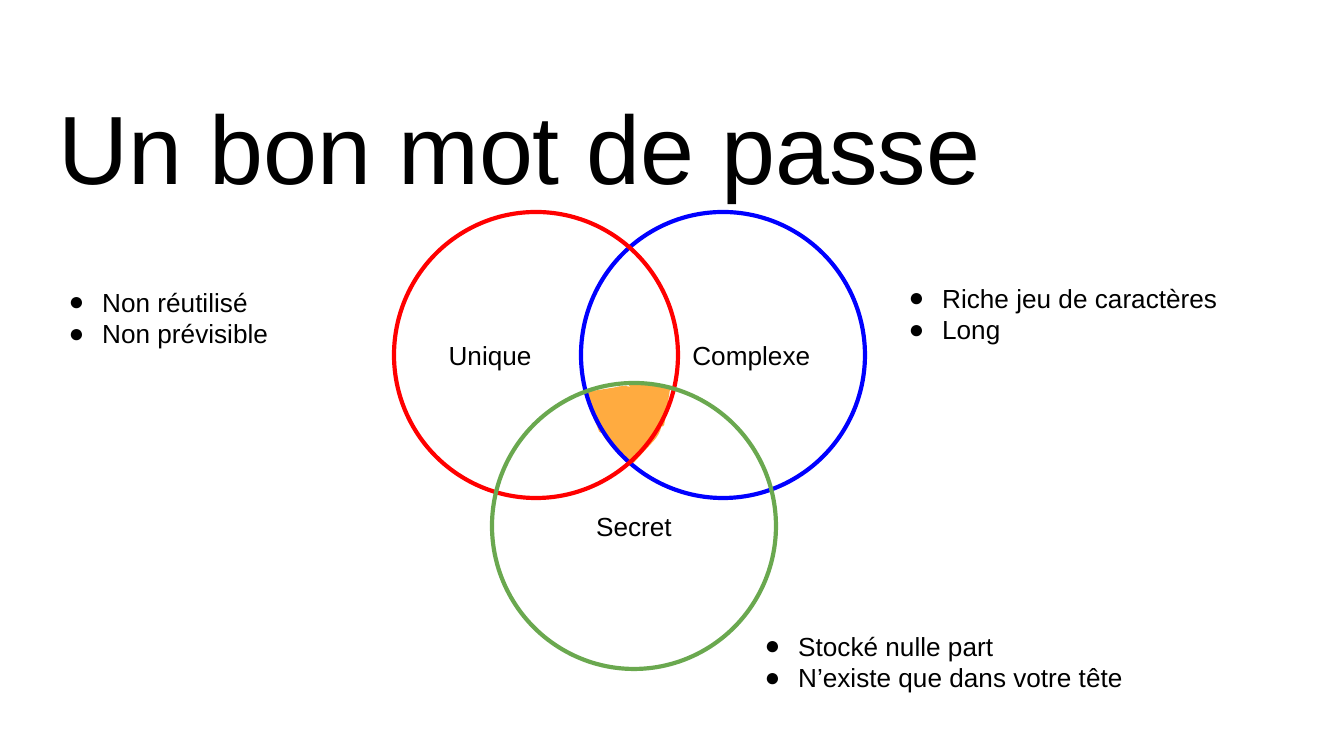
from lxml import etree
from pptx import Presentation
from pptx.dml.color import RGBColor
from pptx.enum.shapes import MSO_SHAPE
from pptx.enum.text import MSO_ANCHOR, PP_ALIGN
from pptx.oxml.ns import qn
from pptx.util import Pt

EMU_PER_PX = 914400 / 134.4
TEARDROP, TRIANGLE = MSO_SHAPE.TEAR, MSO_SHAPE.ISOSCELES_TRIANGLE
DISC, OVAL = MSO_SHAPE.FLOWCHART_CONNECTOR, MSO_SHAPE.OVAL
LEFT, CENTER, RIGHT = PP_ALIGN.LEFT, PP_ALIGN.CENTER, PP_ALIGN.RIGHT
TOP, MIDDLE = MSO_ANCHOR.TOP, MSO_ANCHOR.MIDDLE

ORANGE, BLUE, RED, GREEN, BLACK = "FFAB40", "0000FF", "FF0000", "6AA84F", "000000"
MARGIN = 13
CIRCLE_WIDTH, CIRCLE_HEIGHT = 284, 286

# preset, left, top, width, height, rotation
CORE_BACK = [
    (TEARDROP, 601, 391, 60, 58, 132.5),
    (TRIANGLE, 632, 382, 51, 28, 51.7),
    (TRIANGLE, 575, 386, 50, 31, 300),
]
CORE_FRONT = (DISC, 598, 388, 52, 52, 0)
BULLET_LISTS = [
    (862, 269, 414, 124, ["Riche jeu de caractères", "Long"]),
    (22, 273, 367, 175, ["Non réutilisé", "Non prévisible"]),
    (718, 617, 427, 82, ["Stocké nulle part", "N’existe que dans votre tête"]),
]
CIRCLES = [
    ("Complexe", 581, 212, BLUE, RIGHT),
    ("Unique", 394, 212, RED, LEFT),
    ("Secret", 492, 383, GREEN, CENTER),
]


def px(length):
    return round(length * EMU_PER_PX)


def color(value):
    return RGBColor.from_string(value)


def write(shape, lines, size, align=LEFT, anchor=TOP, top_margin=MARGIN):
    """Fill the shape with one paragraph per line."""
    frame = shape.text_frame
    frame.text = "\n".join(lines)
    frame.word_wrap = True
    frame.vertical_anchor = anchor
    frame.margin_left = frame.margin_right = frame.margin_bottom = px(MARGIN)
    frame.margin_top = px(top_margin)
    for para in frame.paragraphs:
        para.alignment = align
        for span in para.runs:
            span.font.name = "Arial"
            span.font.size = Pt(size)
            span.font.color.rgb = color(BLACK)


def add_outlined(page, preset, left, top, width, height, line, weight):
    shape = page.shapes.add_shape(preset, px(left), px(top), px(width), px(height))
    shape.shadow.inherit = False
    shape.line.color.rgb = color(line)
    shape.line.width = Pt(weight)
    return shape


def add_core_piece(page, preset, left, top, width, height, rotation):
    """Add one part of the orange area shared by all circles."""
    piece = add_outlined(page, preset, left, top, width, height, ORANGE, 2)
    piece.fill.solid()
    piece.fill.fore_color.rgb = color(ORANGE)
    piece.rotation = rotation


def add_circle(page, label, left, top, line, align):
    circle = add_outlined(page, OVAL, left, top, CIRCLE_WIDTH, CIRCLE_HEIGHT, line, 2.25)
    circle.fill.background()
    write(circle, [label], 14, align, MIDDLE)


def add_text(page, left, top, width, height, lines, size, **options):
    box = page.shapes.add_textbox(px(left), px(top), px(width), px(height))
    write(box, lines, size, **options)
    return box


def add_bullet_list(page, left, top, width, height, lines):
    box = add_text(page, left, top, width, height, lines, 14)
    for para in box.text_frame.paragraphs:
        properties = para._p.get_or_add_pPr()
        properties.set("marL", "457200")
        properties.set("indent", "-228600")
        bullet_color = etree.SubElement(properties, qn("a:buClr"))
        etree.SubElement(bullet_color, qn("a:srgbClr"), val=BLACK)
        etree.SubElement(properties, qn("a:buFont"), typeface="Arial")
        etree.SubElement(properties, qn("a:buChar"), char="●")


def main():
    deck = Presentation()
    deck.slide_width, deck.slide_height = px(1344), px(756)
    page = deck.slides.add_slide(deck.slide_layouts[6])
    for piece in CORE_BACK:
        add_core_piece(page, *piece)
    for bullet_list in BULLET_LISTS:
        add_bullet_list(page, *bullet_list)
    add_text(page, 46, 66, 1253, 85, ["Un bon mot de passe"], 52, top_margin=22)
    add_core_piece(page, *CORE_FRONT)
    for circle in CIRCLES:
        add_circle(page, *circle)
    deck.save("out.pptx")


if __name__ == "__main__":
    main()
